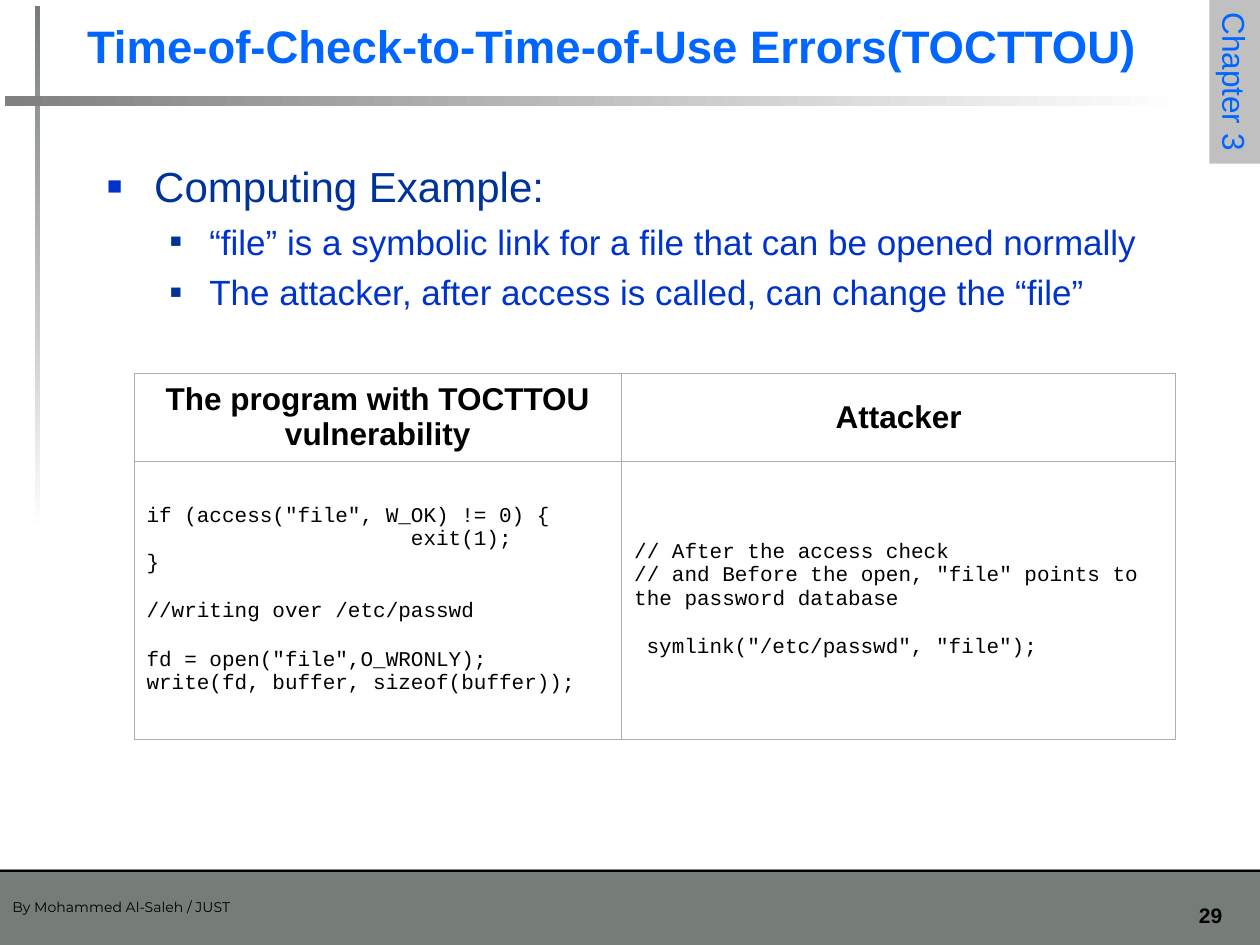
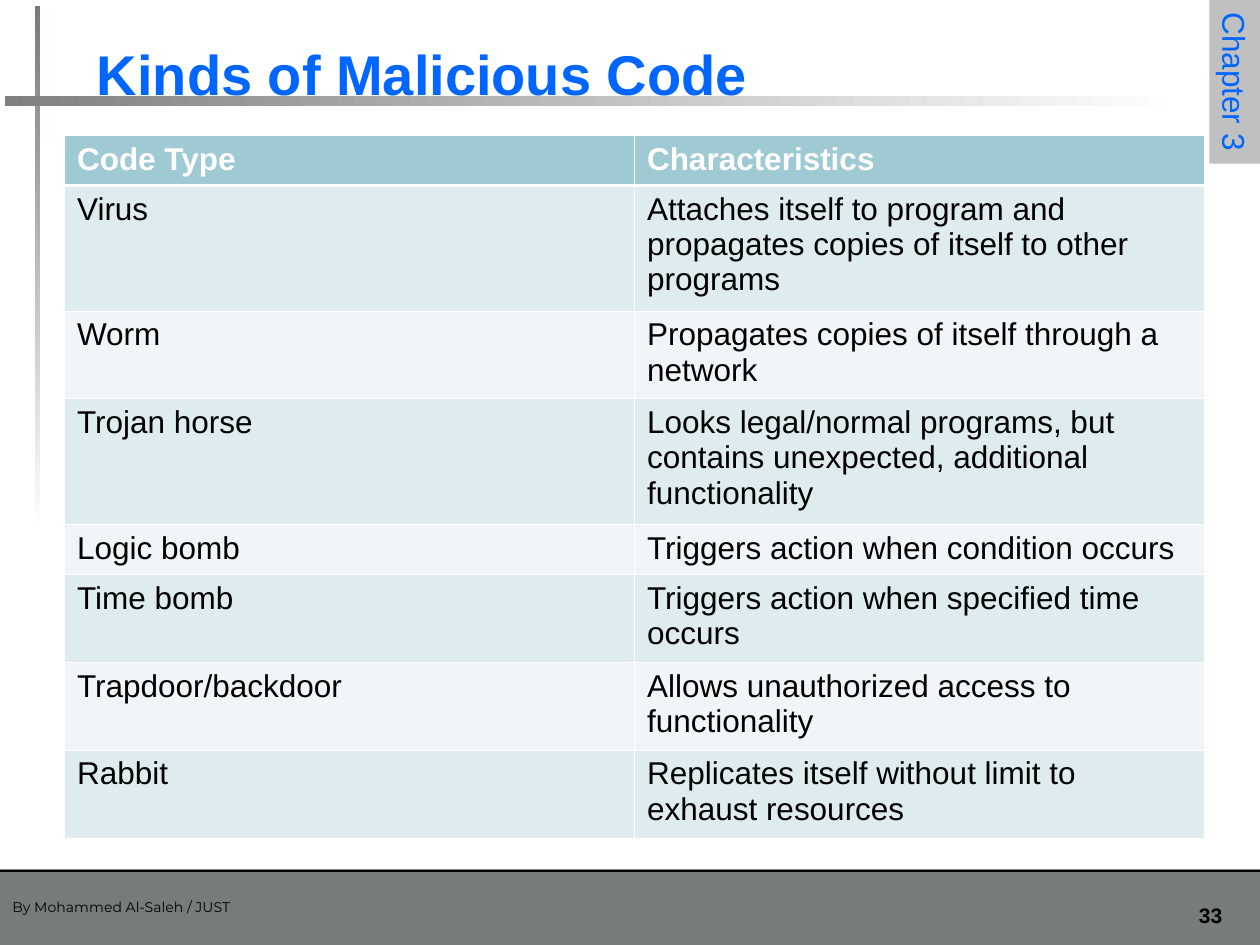
"""Build two security slides on TOCTTOU errors and kinds of malicious code."""
import pptx
import pptx.dml.color
import pptx.enum.shapes
import pptx.enum.text
import pptx.oxml
import pptx.oxml.ns
import pptx.util
from lxml import etree

Cm = pptx.util.Cm
Pt = pptx.util.Pt
ALIGN = pptx.enum.text.PP_ALIGN
ANCHOR = pptx.enum.text.MSO_ANCHOR

COLORS = {
    "title": "0066FF", "heading": "003399", "point": "0033CC",
    "text": "000000", "white": "FFFFFF", "footer": "767D79",
    "bar": "808080", "tab": "C0C0C0", "grid": "AEAEAE",
    "header": "9FCAD3", "odd": "DFECEF", "even": "F0F6F7",
}

PROGRAM_CODE = [
    ("if (access(\"file\", W_OK) != 0) {", 0, 0),
    ("exit(1);", 5.33, 0),
    ("}", 0, 0),
    ("//writing over /etc/passwd", 0, 14),
    ("fd = open(\"file\",O_WRONLY);", 0, 14),
    ("write(fd, buffer, sizeof(buffer));", 0, 0),
]
ATTACKER_CODE = [
    ("// After the access check", 0, 0),
    ("// and Before the open, \"file\" points to the password database", 0, 0),
    ("symlink(\"/etc/passwd\", \"file\");", 0.25, 14),
]
MALICIOUS_CODE = [
    ("Code Type", "Characteristics"),
    ("Virus", "Attaches itself to program and propagates copies of itself to other programs"),
    ("Worm", "Propagates copies of itself through a network"),
    ("Trojan horse", "Looks legal/normal programs, but contains unexpected, additional functionality"),
    ("Logic bomb", "Triggers action when condition occurs"),
    ("Time bomb", "Triggers action when specified time occurs"),
    ("Trapdoor/backdoor", "Allows unauthorized access to functionality"),
    ("Rabbit", "Replicates itself without limit to exhaust resources"),
]
LINES_PER_ROW = [1, 3, 2, 3, 1, 2, 2, 2]


def rgb(name):
    """Return the named colour."""
    return pptx.dml.color.RGBColor.from_string(COLORS[name])


def write(paragraph, text, size, color="text", bold=False, font="Arial", align=ALIGN.LEFT):
    """Put formatted text into a paragraph."""
    paragraph.text = text
    paragraph.alignment = align
    paragraph.font.name = font
    paragraph.font.size = Pt(size)
    paragraph.font.bold = bold
    paragraph.font.color.rgb = rgb(color)


def add_paragraphs(frame, count):
    """Return the given number of paragraphs in a text frame."""
    return [frame.paragraphs[0]] + [frame.add_paragraph() for _ in range(count - 1)]


def add_band(slide, left, top, width, height, color):
    """Add a plain filled rectangle."""
    band = slide.shapes.add_shape(
        pptx.enum.shapes.MSO_SHAPE.RECTANGLE, Cm(left), Cm(top), Cm(width), Cm(height))
    band.shadow.inherit = False
    band.line.fill.background()
    band.fill.solid()
    band.fill.fore_color.rgb = rgb(color)
    return band


def add_fading_bar(slide, left, top, width, height, color, angle):
    """Add a thin bar that fades to white."""
    bar = add_band(slide, left, top, width, height, color)
    bar.fill.gradient()
    bar.fill.gradient_angle = angle
    for stop, name in zip(bar.fill.gradient_stops, (color, "white")):
        stop.color.rgb = rgb(name)


def add_frame(slide, number):
    """Add the footer, crossing bars and chapter tab shared by all slides."""
    footer = add_band(slide, 0, 17.53, 25.4, 1.52, "footer")
    footer.text_frame.vertical_anchor = ANCHOR.MIDDLE
    write(footer.text_frame.paragraphs[0], "By Mohammed Al-Saleh / JUST", 8, font="Montserrat")
    footer.text_frame.paragraphs[0].space_before = Pt(2)
    add_band(slide, 0, 17.53, 25.4, 0.05, "text")

    page_number = slide.shapes.add_textbox(Cm(23.29), Cm(18.06), Cm(1.6), Cm(0.76))
    page_number.text_frame.word_wrap = True
    write(page_number.text_frame.paragraphs[0], str(number), 12, bold=True, align=ALIGN.RIGHT)

    add_fading_bar(slide, 0.71, 0.13, 0.1, 10.59, "footer", 270)
    add_fading_bar(slide, 0.1, 1.93, 23.8, 0.2, "bar", 0)

    chapter = add_band(slide, 23.24, 1.14, 3.3, 1.02, "tab")
    chapter.rotation = 90
    chapter.text_frame.word_wrap = False
    chapter.text_frame.vertical_anchor = ANCHOR.TOP
    write(chapter.text_frame.paragraphs[0], "Chapter 3", 18, "title")


def add_slide(deck, number, heading, left, top, height, size):
    """Add a slide with the shared frame and its title in front."""
    slide = deck.slides.add_slide(deck.slide_layouts[5])
    add_frame(slide, number)
    title = slide.shapes.title
    title.left, title.top, title.width, title.height = Cm(left), Cm(top), Cm(23.01), Cm(height)
    title.text_frame.word_wrap = True
    title.text_frame.auto_size = pptx.enum.text.MSO_AUTO_SIZE.NONE
    title.text_frame.vertical_anchor = ANCHOR.BOTTOM
    write(title.text_frame.paragraphs[0], heading, size, "title", bold=True)
    title.element.getparent().append(title.element)
    return slide


def set_bullet(paragraph, indent, hanging, color, percent):
    """Give a paragraph a square bullet and a hanging indent."""
    properties = paragraph._p.get_or_add_pPr()
    properties.set("marL", str(Cm(indent)))
    properties.set("indent", str(-Cm(hanging)))
    tag = pptx.oxml.ns.qn
    bullet_color = etree.SubElement(properties, tag("a:buClr"))
    etree.SubElement(bullet_color, tag("a:srgbClr"), val=COLORS[color])
    etree.SubElement(properties, tag("a:buSzPct"), val=str(percent * 1000))
    etree.SubElement(properties, tag("a:buFont"), typeface="Arial")
    etree.SubElement(properties, tag("a:buChar"), char="■")


def add_points(slide, heading, points):
    """Add a bulleted heading with points below it."""
    box = slide.shapes.add_textbox(Cm(1.91), Cm(3.12), Cm(22.96), Cm(4.2))
    box.text_frame.word_wrap = True
    first, *others = add_paragraphs(box.text_frame, len(points) + 1)
    set_bullet(first, 0.95, 0.95, "point", 60)
    write(first, heading, 24, "heading")
    first.space_before = Pt(6)
    for paragraph, point in zip(others, points):
        paragraph.level = 1
        set_bullet(paragraph, 2.06, 0.79, "heading", 55)
        write(paragraph, point, 20, "point")
        paragraph.space_before = Pt(5)


def add_grid(slide, left, top, widths, heights):
    """Add a table with the given column widths and row heights."""
    table = slide.shapes.add_table(
        len(heights), len(widths), Cm(left), Cm(top), Cm(sum(widths)), Cm(sum(heights))).table
    for column, width in zip(table.columns, widths):
        column.width = Cm(width)
    for row, height in zip(table.rows, heights):
        row.height = Cm(height)
    return table


def style_cell(cell, border, fill=None, thick_side=None):
    """Set the borders and the fill of a table cell."""
    properties = cell._tc.get_or_add_tcPr()
    tag = pptx.oxml.ns.qn
    for side in "LRTB":
        width = Pt(1.5 if side == thick_side else 0.45)
        line = etree.SubElement(properties, tag("a:ln" + side), w=str(width))
        solid = etree.SubElement(line, tag("a:solidFill"))
        etree.SubElement(solid, tag("a:srgbClr"), val=COLORS[border])
    if fill:
        cell.fill.solid()
        cell.fill.fore_color.rgb = rgb(fill)
    else:
        cell.fill.background()


def add_code_table(slide):
    """Add the program and attacker code side by side."""
    table = add_grid(slide, 2.7, 7.52, [9.83, 11.17], [1.78, 5.61])
    columns = [("The program with TOCTTOU vulnerability", PROGRAM_CODE), ("Attacker", ATTACKER_CODE)]
    for index, (heading, code) in enumerate(columns):
        header, body = table.cell(0, index), table.cell(1, index)
        for cell in (header, body):
            style_cell(cell, "grid")
            cell.vertical_anchor = ANCHOR.MIDDLE
        write(header.text_frame.paragraphs[0], heading, 18, bold=True, align=ALIGN.CENTER)
        for paragraph, (line, indent, gap) in zip(add_paragraphs(body.text_frame, len(code)), code):
            write(paragraph, line, 12, font="Courier New")
            paragraph.space_before = Pt(gap)
            paragraph._p.get_or_add_pPr().set("marL", str(Cm(indent)))


def add_malicious_code_table(slide):
    """Add the banded table of malicious code kinds."""
    heights = [0.25 + 0.76 * lines for lines in LINES_PER_ROW]
    table = add_grid(slide, 1.3, 2.73, [11.49, 11.49], heights)
    for row, texts in enumerate(MALICIOUS_CODE):
        is_header = row == 0
        fill = "header" if is_header else ("even", "odd")[row % 2]
        thick_side = {0: "B", 1: "T"}.get(row)
        for column, text in enumerate(texts):
            cell = table.cell(row, column)
            style_cell(cell, "white", fill, thick_side)
            write(cell.text_frame.paragraphs[0], text, 18, "white" if is_header else "text", is_header)


def main():
    """Build and save the deck."""
    deck = pptx.Presentation()
    deck.slide_width, deck.slide_height = Cm(25.4), Cm(19.05)

    tocttou = add_slide(
        deck, 29, "Time-of-Check-to-Time-of-Use Errors(TOCTTOU)", 1.5, 0.23, 1.37, 26)
    add_points(tocttou, "Computing Example:", [
        "“file” is a symbolic link for a file that can be opened normally",
        "The attacker, after access is called, can change the “file”",
    ])
    add_code_table(tocttou)

    kinds = add_slide(deck, 33, "Kinds of Malicious Code", 1.7, 0.64, 1.63, 32)
    add_malicious_code_table(kinds)

    deck.save("out.pptx")


if __name__ == "__main__":
    main()
